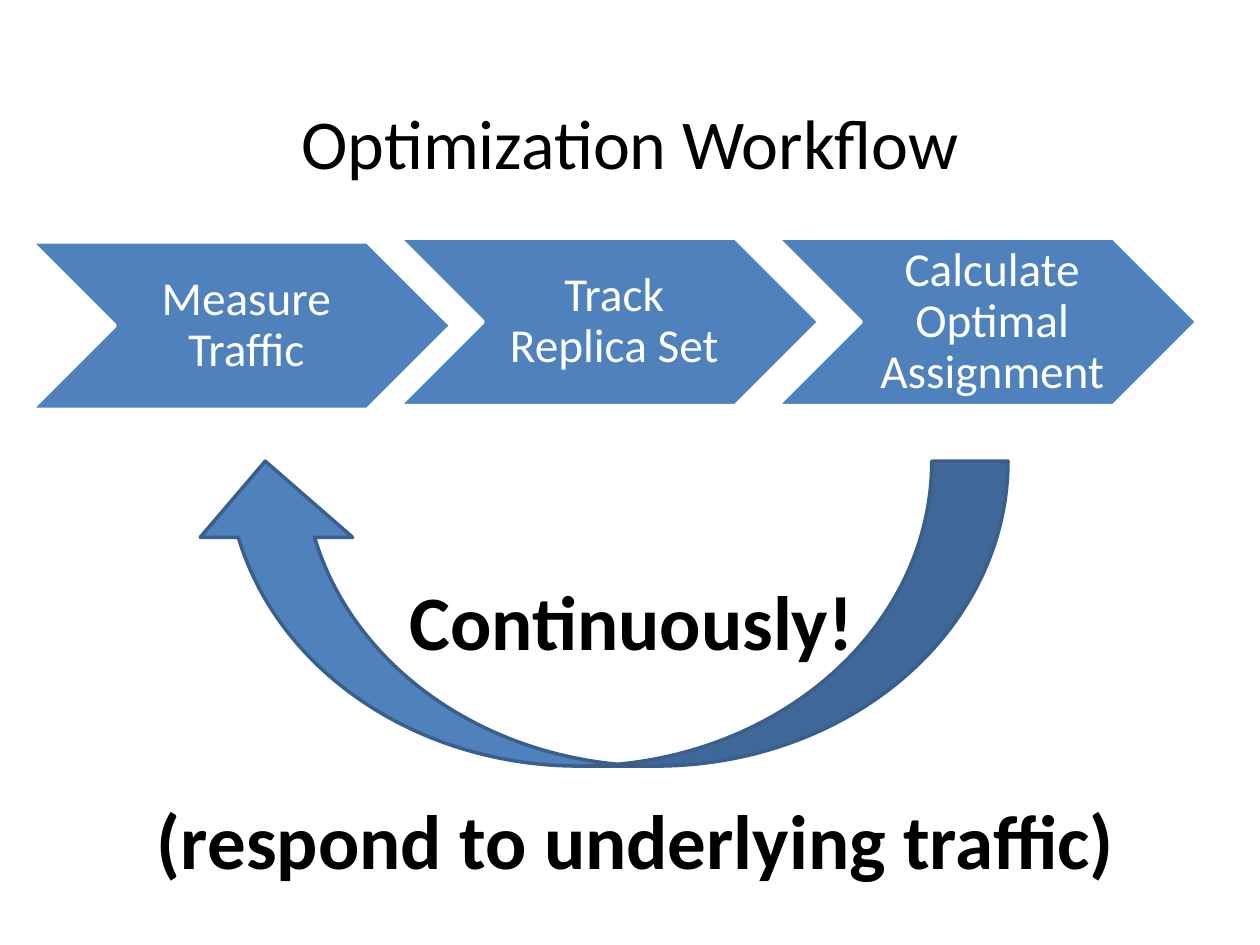
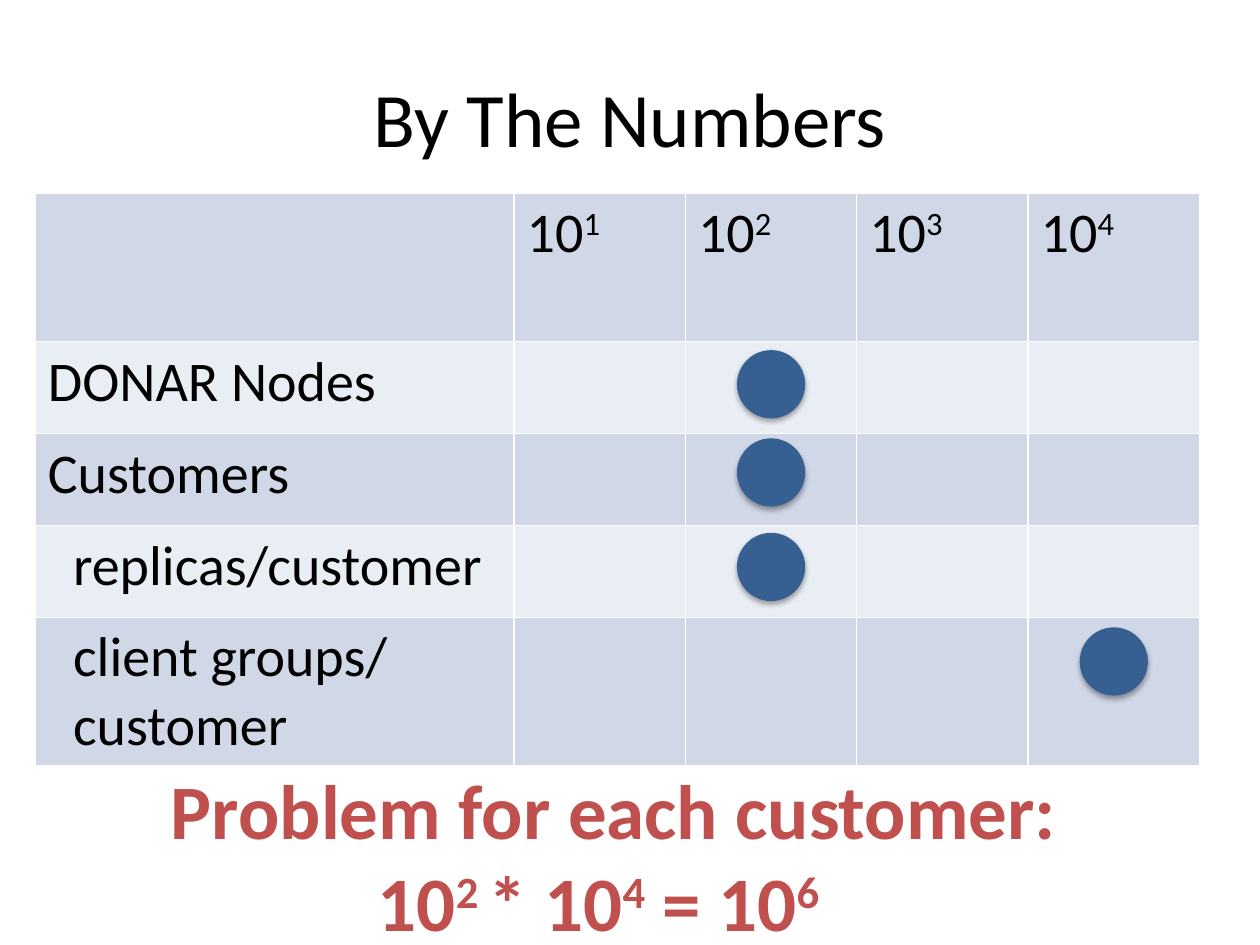
from lxml import etree
from pptx import Presentation
from pptx.dml.color import RGBColor
from pptx.enum.shapes import MSO_SHAPE as Shape
from pptx.enum.text import MSO_ANCHOR as Anchor, PP_ALIGN as Align
from pptx.oxml import parse_xml
from pptx.oxml.ns import nsdecls, qn
from pptx.util import Inches, Pt

COLOURS = {
    "text": "000000", "white": "FFFFFF", "blue": "4F81BD", "blue_edge": "3A5F8C",
    "dot": "376092", "accent": "C0504D", "band_dark": "D0D8E8", "band_light": "E9EDF4",
}
FONT = "Calibri"


def colour(name):
    """Return the named colour."""
    return RGBColor.from_string(COLOURS[name])


def write(frame, text, size=44, ink="text", bold=False, align=Align.LEFT,
          anchor=Anchor.TOP, wrap=True, spacing=None, indent=0, right_indents=()):
    """Write paragraphs split by newlines, lines by \\v and superscripts by bars."""
    frame.word_wrap = wrap
    frame.vertical_anchor = anchor
    for index, content in enumerate(text.split("\n")):
        para = frame.paragraphs[0] if index == 0 else frame.add_paragraph()
        para.alignment = align
        para.line_spacing = spacing
        properties = para._p.get_or_add_pPr()
        if indent:
            properties.set("marL", str(Inches(indent)))
        if index < len(right_indents):
            properties.set("marR", str(Inches(right_indents[index])))
        for line_number, line in enumerate(content.split("\v")):
            if line_number:
                para.add_line_break()
            for part_number, part in enumerate(line.split("|")):
                if not part:
                    continue
                span = para.add_run()
                span.text = part
                span.font.name, span.font.size = FONT, Pt(size)
                span.font.bold = bold
                span.font.color.rgb = colour(ink)
                if part_number % 2:
                    span._r.get_or_add_rPr().set("baseline", "30000")


def add_text(page, box, text, **style):
    """Add a text box and return its frame."""
    frame = page.shapes.add_textbox(*map(Inches, box)).text_frame
    write(frame, text, **style)
    return frame


def add_filled(page, kind, box, fill, edge, width):
    """Add a flat preset shape with an outline."""
    shape = page.shapes.add_shape(kind, *map(Inches, box))
    shape.shadow.inherit = False
    shape.fill.solid()
    shape.fill.fore_color.rgb = colour(fill)
    shape.line.color.rgb = colour(edge)
    shape.line.width = Pt(width)
    return shape


def add_title(page, top, text, size):
    """Add the centred slide title."""
    add_text(page, (0.5, top, 9, 1.25), text, size=size, align=Align.CENTER,
             anchor=Anchor.MIDDLE)


def add_step(page, box, label):
    """Add a workflow chevron and its label."""
    left, top, width, height = box
    add_filled(page, Shape.CHEVRON, box, "blue", "white", 2)
    frame = add_text(page, (left + height / 2, top, width - height, height), label,
                     size=27, ink="white", align=Align.CENTER, anchor=Anchor.MIDDLE,
                     spacing=0.9)
    frame.margin_left = Inches(0.12)
    frame.margin_right = frame.margin_top = frame.margin_bottom = Inches(0.04)


def add_loop(page, box):
    """Add the return arrow, turned a quarter so that it fills the box."""
    left, top, width, height = box
    shift = (width - height) / 2
    arrow = add_filled(page, Shape.CURVED_LEFT_ARROW,
                       (left + shift, top - shift, height, width),
                       "blue", "blue_edge", 2)
    arrow.rotation = 90


def style_cell(cell, fill):
    """Give a cell thin white borders and a fill."""
    properties = cell._tc.get_or_add_tcPr()
    for side in ("lnL", "lnR", "lnT", "lnB"):
        border = etree.SubElement(properties, qn(f"a:{side}"), w=str(Pt(1)))
        paint = etree.SubElement(border, qn("a:solidFill"))
        etree.SubElement(paint, qn("a:srgbClr"), val=COLOURS["white"])
    cell.fill.solid()
    cell.fill.fore_color.rgb = colour(fill)


def add_scale_table(page, left, top, columns, rows, labels):
    """Add the banded table of powers of ten with its row labels."""
    frame = page.shapes.add_table(len(rows), len(columns), Inches(left), Inches(top),
                                  Inches(sum(columns)), Inches(sum(rows)))
    table = frame.table
    table.first_row = table.horz_banding = False
    for column, width in zip(table.columns, columns):
        column.width = Inches(width)
    for number, (row, height) in enumerate(zip(table.rows, rows)):
        row.height = Inches(height)
        for cell in row.cells:
            style_cell(cell, "band_light" if number % 2 else "band_dark")
    for power in range(1, len(columns)):
        write(table.cell(0, power).text_frame, f"10|{power}", size=32)
    for number, (label, indent) in enumerate(labels, 1):
        write(table.cell(number, 0).text_frame, label, size=32, indent=indent)


def add_dot(page, centre, top, size=0.5):
    """Add a round marker with a soft shadow."""
    dot = add_filled(page, Shape.OVAL, (centre - size / 2, top, size, size),
                     "dot", "dot", 3)
    effects = dot._element.spPr.find(qn("a:effectLst"))
    effects.append(parse_xml(
        f'<a:outerShdw {nsdecls("a")} blurRad="{Pt(3.1)}" dist="{Pt(1.8)}" '
        f'dir="5400000" rotWithShape="0"><a:srgbClr val="{COLOURS["text"]}">'
        '<a:alpha val="35000"/></a:srgbClr></a:outerShdw>'))


def build_workflow(page):
    """Build the workflow slide."""
    add_title(page, 0.5, "Optimization Workflow", 40)
    steps = ((0.25, 1.92, "Measure\vTraffic"), (3.17, 1.89, "Track\vReplica Set"),
             (6.17, 1.89, "Calculate\vOptimal Assignment"))
    for left, top, label in steps:
        add_step(page, (left, top, 3.33, 1.33), label)
    add_loop(page, (1.5, 3.66, 6.5, 2.42))
    remarks = (((3.13, 4.5, 3.77, 0.84), "Continuously!"),
               ((1.04, 6.24, 8.02, 0.84), "(respond to underlying traffic)"))
    for box, remark in remarks:
        add_text(page, box, remark, bold=True, align=Align.CENTER, wrap=False)


def build_numbers(page):
    """Build the slide with the orders of magnitude."""
    add_title(page, 0.3, "By The Numbers", 44)
    left, label_width, power_width = 0.28, 3.8, 1.36
    labels = (("DONAR Nodes", 0), ("Customers", 0), ("replicas/customer", 0.2),
              ("client groups/\ncustomer", 0.2))
    add_scale_table(page, left, 1.53, [label_width] + [power_width] * 4,
                    [1.18, 0.73, 0.73, 0.73, 1.18], labels)
    add_text(page, (0.25, 6, 9.25, 1.58),
             "Problem for each customer:\n10|2 |* 10|4| = 10|6", ink="accent",
             bold=True, align=Align.CENTER, right_indents=(0, 0.25))
    for power, top in ((2, 2.8), (2, 3.5), (2, 4.25), (4, 5)):
        add_dot(page, left + label_width + power_width * (power - 0.5), top)


def main():
    """Build and save the deck."""
    deck = Presentation()
    deck.slide_width, deck.slide_height = Inches(10), Inches(7.5)
    for build in (build_workflow, build_numbers):
        build(deck.slides.add_slide(deck.slide_layouts[6]))
    deck.save("out.pptx")


if __name__ == "__main__":
    main()
